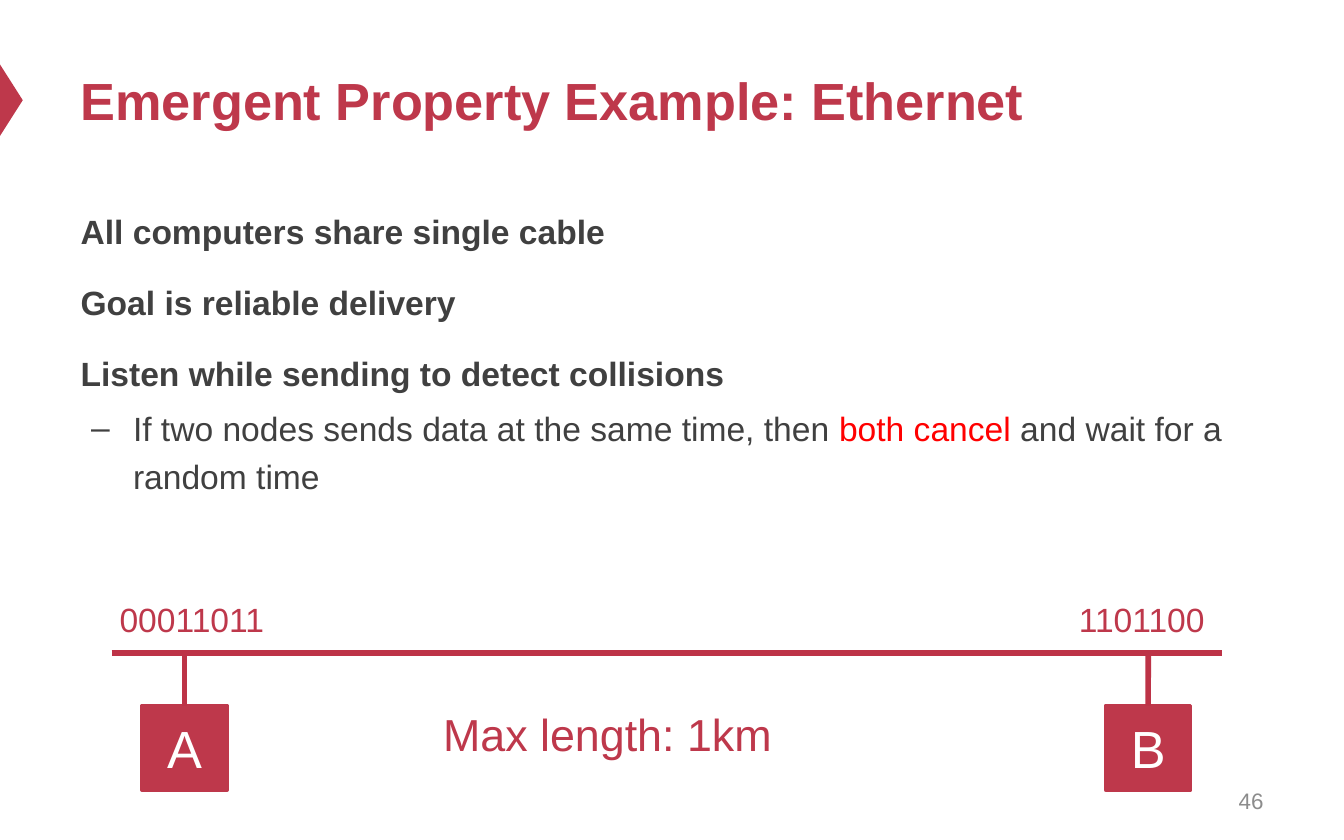
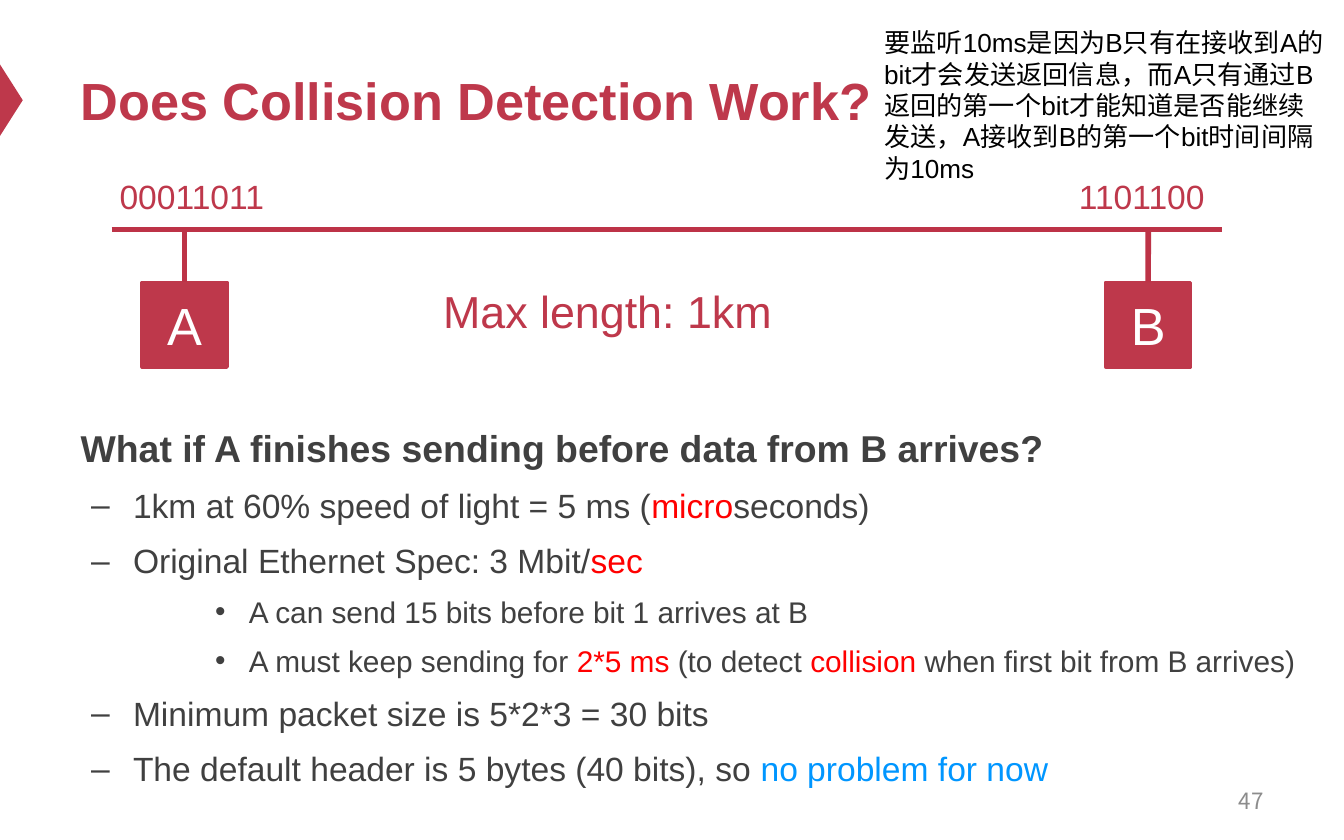
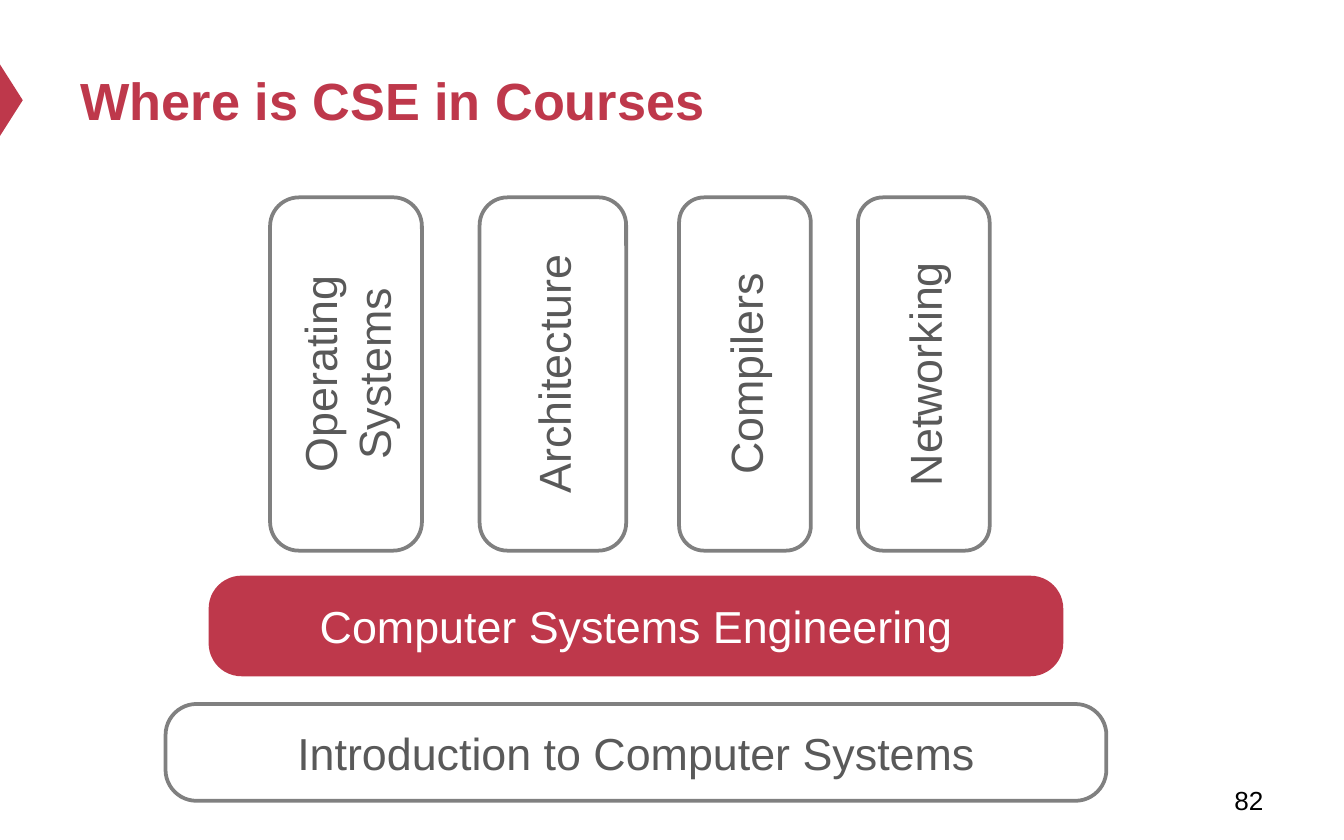
import pptx
import pptx.util
import pptx.dml.color
import pptx.enum.shapes
import pptx.enum.text
import pptx.oxml.ns
from dataclasses import dataclass
from lxml import etree

Cm, Pt = pptx.util.Cm, pptx.util.Pt
SHAPE = pptx.enum.shapes.MSO_SHAPE
STRAIGHT = pptx.enum.shapes.MSO_CONNECTOR.STRAIGHT
ALIGN = pptx.enum.text.PP_ALIGN
ANCHOR = pptx.enum.text.MSO_ANCHOR
FIT = pptx.enum.text.MSO_AUTO_SIZE
qn = pptx.oxml.ns.qn


@dataclass(frozen=True)
class Theme:
    # Colours
    crimson: str = "BE384B"
    cable: str = "BD3347"
    ink: str = "404040"
    alert: str = "FF0000"
    calm: str = "0096FF"
    white: str = "FFFFFF"
    black: str = "000000"
    outline: str = "808080"
    course: str = "595959"
    faint: str = "8C8C8C"
    # Fonts and type sizes
    font: str = "Arial"
    cjk_font: str = "Noto Sans CJK SC"
    title: int = 28
    node: int = 28
    label: int = 24
    bits: int = 18
    note: int = 14


THEME = Theme()

# Content: each point is (level, [(text, colour), ...])
INK, ALERT, CALM = THEME.ink, THEME.alert, THEME.calm

ETHERNET_TITLE = "Emergent Property Example: Ethernet"
ETHERNET_POINTS = [
    (0, [("All computers share single cable", INK)]),
    (0, [("Goal is reliable delivery", INK)]),
    (0, [("Listen while sending to detect collisions", INK)]),
    (1, [("If two nodes sends data at the same time, then ", INK),
         ("both cancel", ALERT), (" and wait for a random time", INK)]),
]

COLLISION_TITLE = "Does Collision Detection Work?"
COLLISION_POINTS = [
    (0, [("What if A finishes sending before data from B arrives?", INK)]),
    (1, [("1km at 60% speed of light = 5 ms (", INK), ("micro", ALERT),
         ("seconds)", INK)]),
    (1, [("Original Ethernet Spec: 3 Mbit/", INK), ("sec", ALERT)]),
    (2, [("A can send 15 bits before bit 1 arrives at B", INK)]),
    (2, [("A must keep sending for ", INK), ("2*5 ms ", ALERT),
         ("(to detect ", INK), ("collision", ALERT),
         (" when first bit from B arrives)", INK)]),
    (1, [("Minimum packet size is 5*2*3 = 30 bits", INK)]),
    (1, [("The default header is 5 bytes (40 bits), so ", INK),
         ("no problem for now", CALM)]),
]
COLLISION_NOTE = ("要监听10ms是因为B只有在接收到A的bit才会发送返回信息，"
                  "而A只有通过B返回的第一个bit才能知道是否能继续发送，"
                  "A接收到B的第一个bit时间间隔为10ms")

CABLE_LENGTH = "Max length: 1km"
# Name, box left, bits, bits left, bits width
NODES = [("A", 2.69, "00011011", 2.01, 3.28),
         ("B", 20.9, "1101100", 20.14, 2.92)]

COURSES_TITLE = "Where is CSE in Courses"
# Name, centre across the slide, thickness
PILLARS = [("Operating Systems", 6.54, 2.87), ("Architecture", 10.45, 2.77),
           ("Compilers", 14.08, 2.49), ("Networking", 17.46, 2.49)]
# Name, top, width, fill, line, text colour
BASES = [
    ("Introduction to Computer Systems", 13.31, 17.78,
     THEME.white, THEME.outline, THEME.course),
    ("Computer Systems Engineering", 10.92, 16.08,
     THEME.crimson, THEME.crimson, THEME.white),
]

# Level: bullet, left margin, hanging indent, space before
LEVELS = {0: (None, 0, 0, 12), 1: ("–", 0.99, 0.79, 3.6),
          2: ("•", 3.18, 0.64, 3.2)}


# Formatting helpers
def rgb(colour):
    return pptx.dml.color.RGBColor.from_string(colour)


def apply(target, **formats):
    for name, value in formats.items():
        setattr(target, name, value)


def box(left, top, width, height):
    return dict(left=Cm(left), top=Cm(top), width=Cm(width), height=Cm(height))


def add_run(paragraph, text, size, colour, bold=False, font=THEME.font):
    run = paragraph.add_run()
    run.text = text
    apply(run.font, size=Pt(size), bold=bold, name=font)
    run.font.color.rgb = rgb(colour)


def write(shape, text, size, colour, align=ALIGN.LEFT, frame=None, **run):
    apply(shape.text_frame, **{"word_wrap": True, **(frame or {})})
    paragraph = shape.text_frame.paragraphs[0]
    paragraph.alignment = align
    add_run(paragraph, text, size, colour, **run)


def add_label(slide, place, *content, **options):
    label = slide.shapes.add_textbox(**place)
    write(label, *content, **options)


def add_block(slide, kind, place, fill, line=None):
    block = slide.shapes.add_shape(kind, **place)
    block.shadow.inherit = False
    block.fill.solid()
    block.fill.fore_color.rgb = rgb(fill)
    if line:
        block.line.color.rgb = rgb(line)
        block.line.width = Pt(2)
    else:
        block.line.fill.background()
    return block


def add_cable(slide, x1, y1, x2, y2):
    cable = slide.shapes.add_connector(STRAIGHT, Cm(x1), Cm(y1), Cm(x2), Cm(y2))
    cable.line.color.rgb = rgb(THEME.cable)
    cable.line.width = Pt(3)
    etree.SubElement(cable.element.spPr, qn("a:effectLst"))
    return cable


# Shared slide frame: marker, title, page number
def add_slide(deck, layout, title, number, size=12, colour=THEME.faint,
              font=THEME.font):
    slide = deck.slides.add_slide(deck.slide_layouts[layout])
    marker = add_block(slide, SHAPE.ISOSCELES_TRIANGLE,
                       box(-0.46, 1.68, 1.35, 0.43), THEME.crimson)
    marker.rotation = 90
    heading = slide.shapes.title
    apply(heading, **box(1.27, 0.64, 22.86, 2.49))
    write(heading, title, THEME.title, THEME.crimson, bold=True,
          frame=dict(auto_size=FIT.NONE, vertical_anchor=ANCHOR.MIDDLE))
    add_label(slide, box(18.21, 14.71, 5.92, 0.84), number, size, colour,
              align=ALIGN.RIGHT, font=font,
              frame=dict(vertical_anchor=ANCHOR.MIDDLE))
    return slide


# Bulleted points in the body placeholder
def fill_body(slide, points, place, sizes):
    body = slide.placeholders[1]
    apply(body, **place)
    apply(body.text_frame, auto_size=FIT.NONE, word_wrap=True,
          vertical_anchor=ANCHOR.TOP)
    for index, (level, runs) in enumerate(points):
        paragraph = (body.text_frame.add_paragraph() if index
                     else body.text_frame.paragraphs[0])
        bullet, margin, hang, before = LEVELS[level]
        properties = paragraph._p.get_or_add_pPr()
        properties.set("marL", str(Cm(margin)))
        properties.set("indent", str(-Cm(hang)))
        if bullet:
            etree.SubElement(properties, qn("a:buChar"), char=bullet)
        else:
            etree.SubElement(properties, qn("a:buNone"))
        apply(paragraph, level=level, line_spacing=1.2, alignment=ALIGN.LEFT,
              space_before=Pt(before if index else 0))
        for text, colour in runs:
            add_run(paragraph, text, sizes[level], colour, bold=level == 0)


# Two nodes hanging from one cable at the given height
def draw_network(slide, cable_top):
    side, drop = 1.6, 1
    add_cable(slide, 2.11, cable_top, 23.09, cable_top)
    for name, left, bits, bits_left, bits_width in NODES:
        node = add_block(slide, SHAPE.RECTANGLE,
                         box(left, cable_top + drop, side, side),
                         THEME.crimson, THEME.crimson)
        write(node, name, THEME.node, THEME.white, align=ALIGN.CENTER,
              frame=dict(vertical_anchor=ANCHOR.MIDDLE))
        middle = left + side / 2
        tap = add_cable(slide, middle, cable_top, middle, cable_top + drop)
        tap.end_connect(node, 0)
        add_label(slide, box(bits_left, cable_top - 1.14, bits_width, 1.02),
                  bits, THEME.bits, THEME.crimson,
                  frame=dict(word_wrap=False, auto_size=FIT.SHAPE_TO_FIT_TEXT))
    add_label(slide, box(5.13, cable_top + 0.9, 12.7, 1.27), CABLE_LENGTH,
              THEME.label, THEME.crimson, align=ALIGN.CENTER,
              frame=dict(auto_size=FIT.SHAPE_TO_FIT_TEXT))


# Rounded course box, placed by its centre so that it can be turned
def add_course(slide, name, centre, size, corner, fill, line, colour, turn=0):
    (x, y), (width, height) = centre, size
    course = add_block(slide, SHAPE.ROUNDED_RECTANGLE,
                       box(x - width / 2, y - height / 2, width, height),
                       fill, line)
    course.adjustments[0] = corner
    course.rotation = turn
    write(course, name, THEME.label, colour, align=ALIGN.CENTER,
          frame=dict(vertical_anchor=ANCHOR.MIDDLE))


def draw_courses(slide):
    base_height, base_centre = 1.83, 12.02
    for name, top, width, fill, line, colour in BASES:
        add_course(slide, name, (base_centre, top + base_height / 2),
                   (width, base_height), 0.32, fill, line, colour)
    for name, centre, thickness in PILLARS:
        add_course(slide, name, (centre, 7.07), (6.68, thickness), 0.19,
                   THEME.white, THEME.outline, THEME.course, turn=270)


def main():
    deck = pptx.Presentation()
    apply(deck, slide_width=Cm(25.4), slide_height=Cm(15.88))

    # Ethernet
    slide = add_slide(deck, 1, ETHERNET_TITLE, "46")
    fill_body(slide, ETHERNET_POINTS, box(1.27, 3.71, 22.86, 7.44), (18, 18))
    draw_network(slide, 12.34)

    # Collision detection
    slide = add_slide(deck, 1, COLLISION_TITLE, "47", font=THEME.cjk_font)
    fill_body(slide, COLLISION_POINTS, box(1.27, 7.75, 23.83, 7.8),
              (20, 18, 16))
    draw_network(slide, 4.34)
    add_label(slide, box(16.46, 0.38, 8.81, 3.25), COLLISION_NOTE,
              THEME.note, THEME.black,
              frame=dict(auto_size=FIT.SHAPE_TO_FIT_TEXT))

    # Courses
    slide = add_slide(deck, 5, COURSES_TITLE, "82", size=14,
                      colour=THEME.black)
    draw_courses(slide)

    deck.save("out.pptx")


if __name__ == "__main__":
    main()
